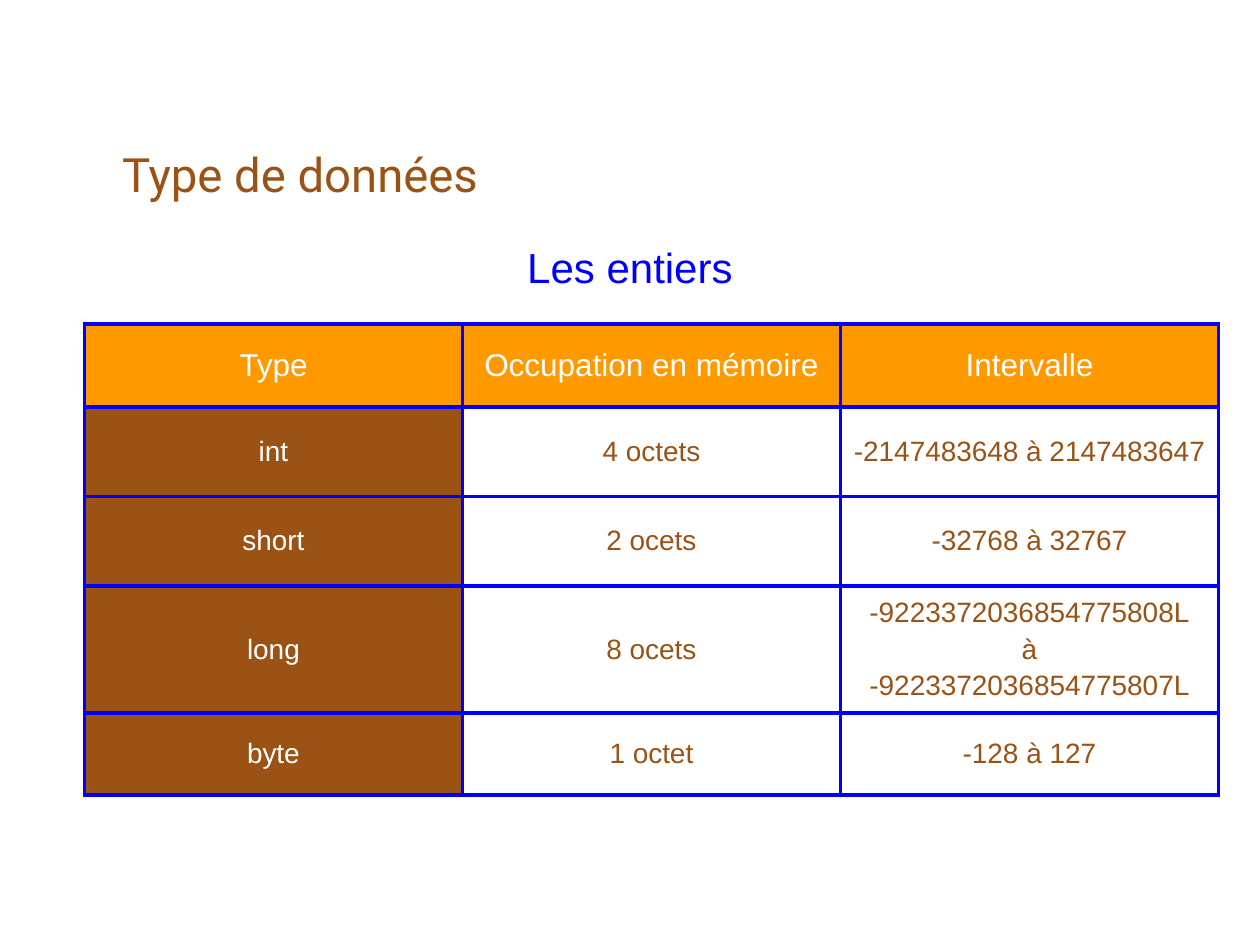
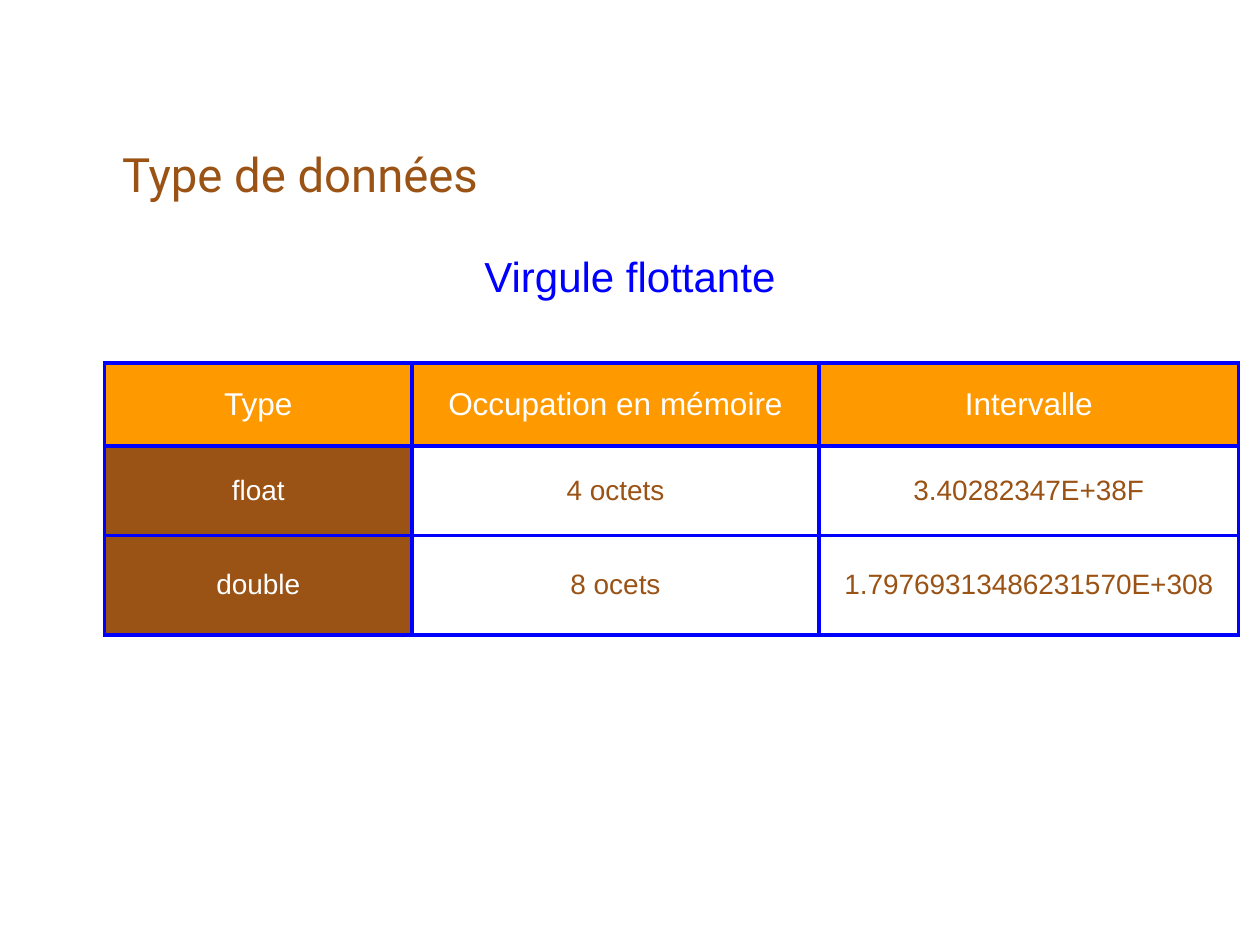
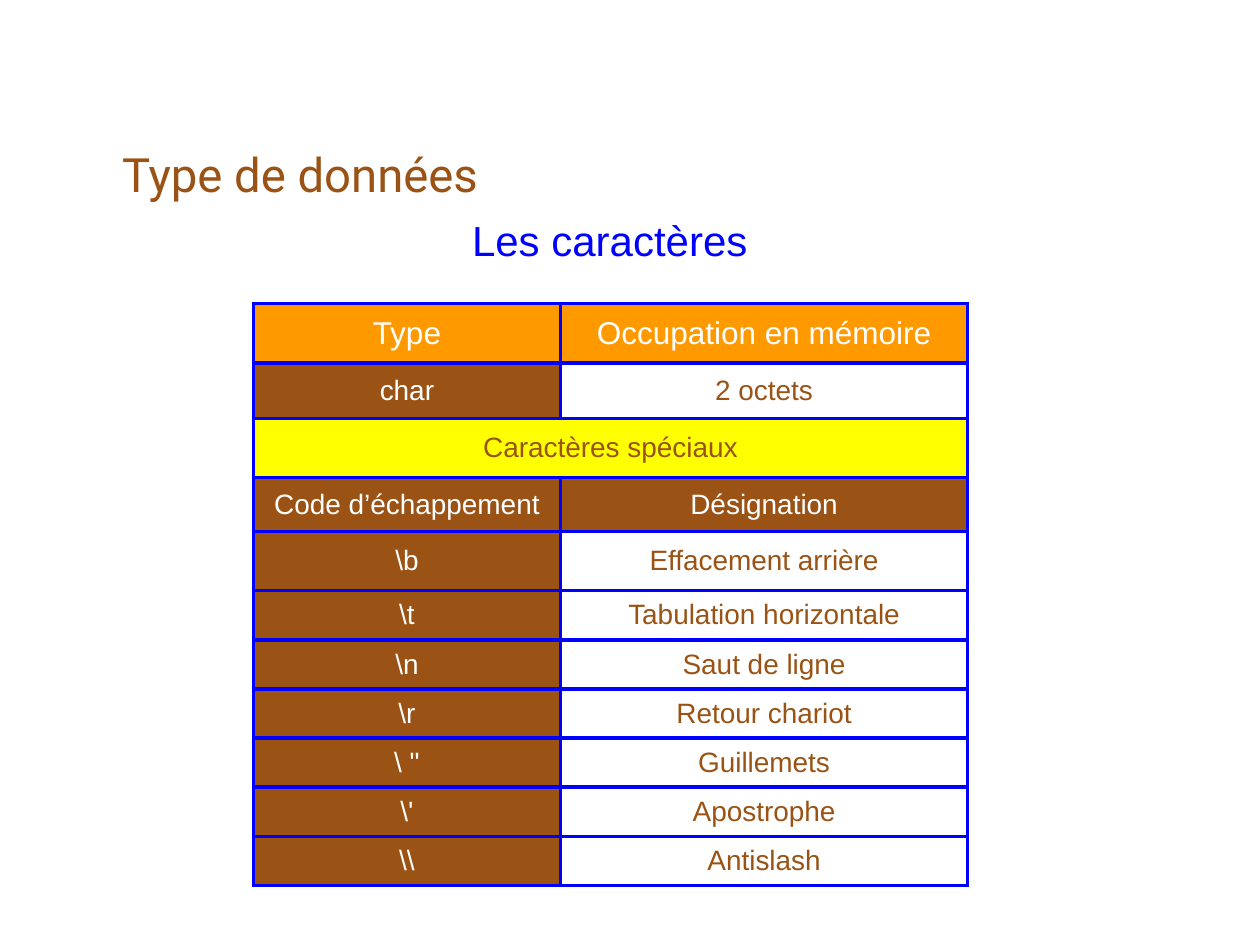
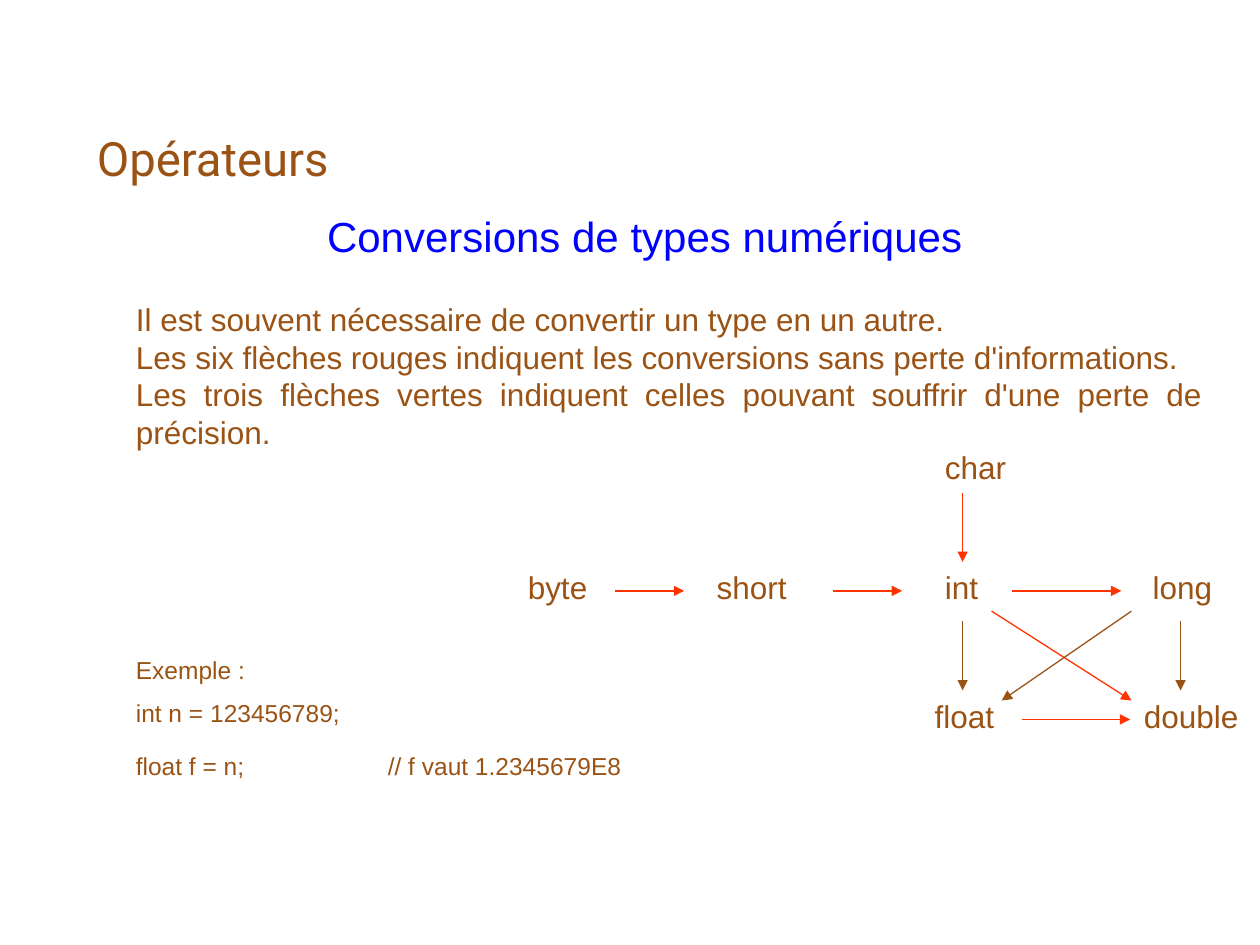
from lxml.etree import SubElement
from pptx import Presentation
from pptx.dml.color import RGBColor
from pptx.enum.shapes import MSO_CONNECTOR as CONN
from pptx.enum.text import MSO_ANCHOR as ANCHOR, PP_ALIGN as ALIGN
from pptx.oxml.ns import qn
from pptx.util import Inches, Pt

# Shared style
BROWN, BLUE, ORANGE = "9A5315", "0000FF", "FF9900"
YELLOW, RED, WHITE = "FFFF00", "FF3300", "FFFFFF"
BODY_FONT, TITLE_FONT = "Arial", "Roboto"
TITLE_BOX = (0.87, 0.33, 8.25, 1.33)
HEADERS = ["Type", "Occupation en mémoire", "Intervalle"]

# Numeric type tables
INTEGERS = [
    HEADERS,
    ["int", "4 octets", "-2147483648 à 2147483647"],
    ["short", "2 ocets", "-32768 à 32767"],
    ["long", "8 ocets", "-9223372036854775808L\nà\n-9223372036854775807L"],
    ["byte", "1 octet", "-128 à 127"],
]
FLOATS = [
    HEADERS,
    ["float", "4 octets", "3.40282347E+38F"],
    ["double", "8 ocets", "1.79769313486231570E+308"],
]
# Character table: a row with a single entry spans the whole width
CHARACTERS = [
    HEADERS[:2],
    ["char", "2 octets"],
    ["Caractères spéciaux"],
    ["Code d’échappement", "Désignation"],
    [r"\b", "Effacement arrière"],
    [r"\t", "Tabulation horizontale"],
    [r"\n", "Saut de ligne"],
    [r"\r", "Retour chariot"],
    [r'\ "', "Guillemets"],
    [r"\'", "Apostrophe"],
    ["\\\\", "Antislash"],
]
SUBHEADER_ROW = 3

# Conversion diagram: rows of labels, label -> (left, row, width)
ROWS = [3.51, 4.46, 5.48]
LABEL_H = 0.4
LABELS = {
    "char": (7.4, 0, 0.71),
    "byte": (4.09, 1, 0.71),
    "short": (5.59, 1, 0.87),
    "int": (7.4, 1, 0.71),
    "long": (9.05, 1, 0.71),
    "float": (7.32, 2, 0.71),
    "double": (8.98, 2, 1.02),
}
MID = [top + 0.23 for top in ROWS]
INT_X, LONG_X = 7.64, 9.37
BELOW = 4.93
DIAGONAL = (4.85, 5.56)
SAFE_ARROWS = [
    (INT_X, ROWS[0] + LABEL_H, INT_X, ROWS[1]),
    (4.88, MID[1], 5.43, MID[1]),
    (6.61, MID[1], 7.16, MID[1]),
    (8.03, MID[1], 8.9, MID[1]),
    (7.87, DIAGONAL[0], 8.98, DIAGONAL[1]),
    (8.11, MID[2], 8.97, MID[2]),
]
LOSSY_ARROWS = [
    (INT_X, BELOW, INT_X, ROWS[2]),
    (LONG_X, BELOW, LONG_X, ROWS[2]),
    (8.98, DIAGONAL[0], 7.95, DIAGONAL[1]),
]


def rgb(color):
    return RGBColor.from_string(color)


def style(p, size, color, font=BODY_FONT, align=None):
    p.alignment = align
    for r in p.runs:
        r.font.size, r.font.name = Pt(size), font
        r.font.color.rgb = rgb(color)


def add_text(s, box, text, size, color=BROWN, font=BODY_FONT, align=None):
    tf = s.shapes.add_textbox(*map(Inches, box)).text_frame
    tf.word_wrap = True
    tf.text = text
    for p in tf.paragraphs:
        style(p, size, color, font, align)
    return tf


def add_slide(prs, title, subtitle, sub_box, title_box=TITLE_BOX):
    s = prs.slides.add_slide(prs.slide_layouts[6])
    tf = add_text(s, title_box, title, 27, font=TITLE_FONT)
    tf.vertical_anchor = ANCHOR.BOTTOM
    tf.paragraphs[0].line_spacing = 0.9
    add_text(s, sub_box, subtitle, 24, BLUE, align=ALIGN.CENTER)
    return s


def add_borders(cell):
    tc_pr = cell._tc.get_or_add_tcPr()
    for side in ("lnL", "lnR", "lnT", "lnB"):
        ln = SubElement(tc_pr, qn(f"a:{side}"), w=str(Pt(2.25)))
        fill = SubElement(ln, qn("a:solidFill"))
        SubElement(fill, qn("a:srgbClr"), val=BLUE)


def cell_look(i, j, row, subheader):
    """Fill, text colour and size of a cell."""
    if i == 0:
        return ORANGE, WHITE, 18
    if len(row) == 1:
        return YELLOW, BROWN, 16
    if j == 0 or i == subheader:
        return BROWN, WHITE, 16
    return None, BROWN, 16


def add_type_table(s, left, top, widths, heights, rows, subheader=None):
    frame = s.shapes.add_table(len(rows), len(widths), Inches(left), Inches(top),
                               Inches(sum(widths)), Inches(sum(heights)))
    table = frame.table
    table.first_row = table.horz_banding = False
    for col, width in zip(table.columns, widths):
        col.width = Inches(width)
    for i, row in enumerate(rows):
        table.rows[i].height = Inches(heights[i])
        if len(row) == 1:
            table.cell(i, 0).merge(table.cell(i, len(widths) - 1))
        for j in range(len(widths)):
            cell = table.cell(i, j)
            add_borders(cell)
            fill, color, size = cell_look(i, j, row, subheader)
            if fill:
                cell.fill.solid()
                cell.fill.fore_color.rgb = rgb(fill)
            else:
                cell.fill.background()
            if j >= len(row):
                continue
            cell.text = row[j]
            cell.vertical_anchor = ANCHOR.MIDDLE
            for k, p in enumerate(cell.text_frame.paragraphs):
                style(p, size, color, align=ALIGN.CENTER)
                if k:
                    p.space_before = Pt(0.2 * size)


def add_arrow(s, ends, color):
    line = s.shapes.add_connector(CONN.STRAIGHT, *map(Inches, ends))
    line.line.color.rgb = rgb(color)
    line.line.width = Pt(0.75)
    SubElement(line.line._get_or_add_ln(), qn("a:tailEnd"), type="triangle")
    SubElement(line._element.spPr, qn("a:effectLst"))


def add_diagram(s):
    for text, (left, row, width) in LABELS.items():
        add_text(s, (left, ROWS[row], width, LABEL_H), text, 18)
    for color, arrows in ((RED, SAFE_ARROWS), (BROWN, LOSSY_ARROWS)):
        for ends in arrows:
            add_arrow(s, ends, color)


def add_example(s):
    tf = add_text(s, (0.98, 5.15, 4.57, 1.13),
                  "Exemple :\nint n = 123456789;\nfloat f = n;\t// f vaut 1.2345679E8", 14)
    _, declaration, conversion = tf.paragraphs
    declaration.space_before = Pt(8)
    conversion.space_before = Pt(13.5)
    tabs = SubElement(conversion._p.get_or_add_pPr(), qn("a:tabLst"))
    SubElement(tabs, qn("a:tab"), pos=str(Inches(2)), algn="l")


def main():
    prs = Presentation()
    prs.slide_width, prs.slide_height = Inches(10), Inches(7.5)

    # Integers
    s = add_slide(prs, "Type de données", "Les entiers", (2.32, 1.87, 5.36, 0.5))
    add_type_table(s, 0.67, 2.57, [3] * 3, [0.66, 0.71, 0.71, 1.01, 0.65], INTEGERS)

    # Floating point
    s = add_slide(prs, "Type de données", "Virgule flottante", (2.32, 1.94, 5.36, 0.5))
    add_type_table(s, 0.83, 2.88, [2.44, 3.23, 3.33], [0.66, 0.71, 0.79], FLOATS)

    # Characters
    s = add_slide(prs, "Type de données", "Les caractères", (2.16, 1.65, 5.36, 0.5))
    heights = [0.47, 0.44, 0.47, 0.43, 0.47] + [0.39] * 6
    add_type_table(s, 2.01, 2.41, [2.44, 3.23], heights, CHARACTERS, SUBHEADER_ROW)

    # Conversions
    s = add_slide(prs, "Opérateurs", "Conversions de types numériques",
                  (1.69, 1.62, 6.85, 0.5), (0.67, 0.28, 9, 1.25))
    tf = add_text(s, (0.98, 2.33, 8.66, 1.3),
                  "Il est souvent nécessaire de convertir un type en un autre.\n"
                  "Les six flèches rouges indiquent les conversions sans perte d'informations.\n"
                  "Les trois flèches vertes indiquent celles pouvant souffrir d'une perte de "
                  "précision.", 18)
    tf.paragraphs[-1].alignment = ALIGN.JUSTIFY
    add_diagram(s)
    add_example(s)

    prs.save("out.pptx")


if __name__ == "__main__":
    main()
